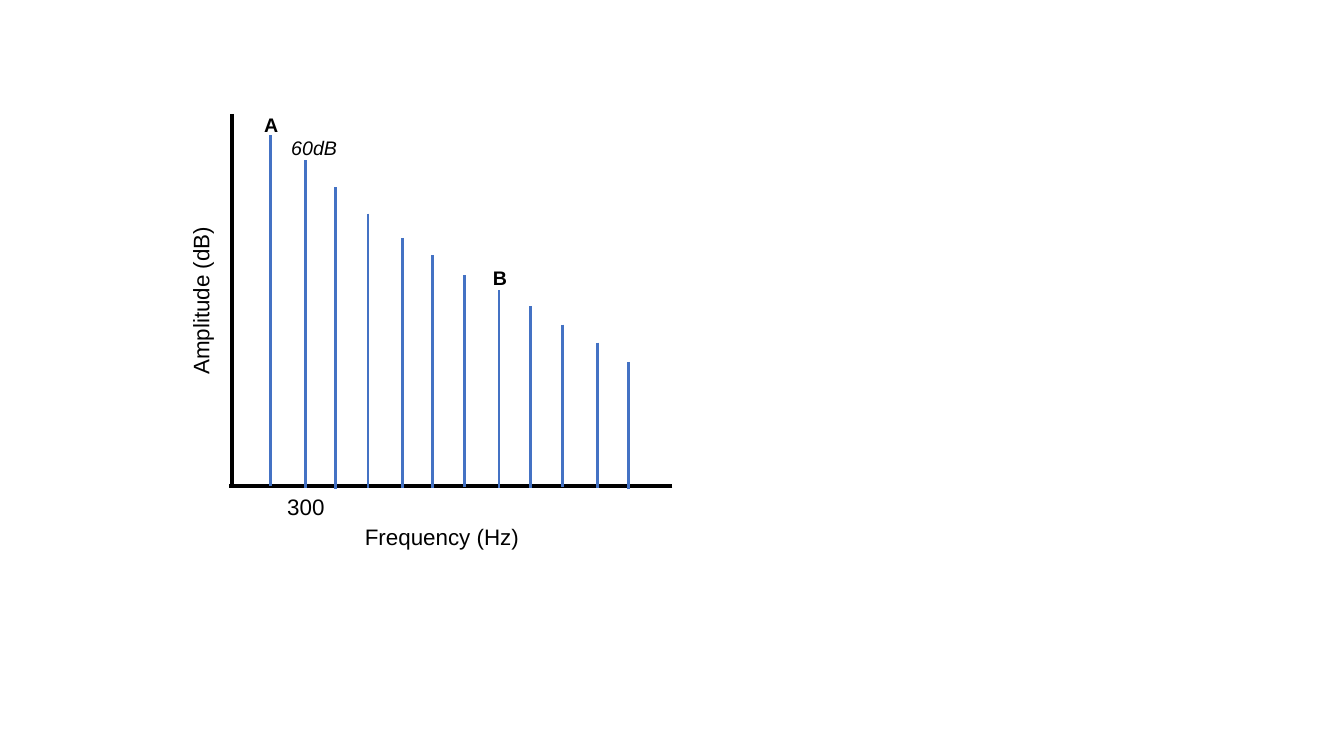
from pptx import Presentation
from pptx.dml.color import RGBColor
from pptx.enum.shapes import MSO_CONNECTOR
from pptx.enum.text import MSO_AUTO_SIZE, PP_ALIGN
from pptx.oxml.ns import qn
from pptx.util import Inches, Pt
from lxml import etree

COLORS = {"axis": "000000", "harmonic": "4472C4", "text": "000000"}
FONT = "Arial"
BASELINE = 4.82

AXES = [
    (2.3, 1.13, 2.3, BASELINE),
    (6.67, BASELINE, 2.27, BASELINE),
]

HARMONICS = [
    (2.68, 1.34, 4.82),
    (3.03, 1.59, 4.84),
    (3.33, 1.86, 4.85),
    (3.65, 2.12, 4.84),
    (3.99, 2.36, 4.84),
    (4.29, 2.53, 4.84),
    (4.61, 2.73, 4.83),
    (4.95, 2.88, 4.84),
    (5.26, 3.04, 4.84),
    (5.58, 3.22, 4.83),
    (5.93, 3.4, 4.84),
    (6.23, 3.59, 4.85),
]

LABELS = [
    {"text": "300", "box": (2.75, 4.84, 0.66, 0.37), "size": 16},
    {"text": "60dB", "box": (2.79, 1.3, 0.86, 0.34), "size": 14, "italic": True},
    {"text": "B", "box": (4.79, 2.59, 0.29, 0.34), "size": 14, "bold": True},
    {"text": "A", "box": (2.52, 1.07, 0.29, 0.34), "size": 14, "bold": True},
    {"text": "Frequency (Hz)", "box": (3.52, 5.14, 2.02, 0.37), "size": 16},
    {"text": "Amplitude (dB)", "box": (1.11, 2.75, 1.76, 0.37), "size": 16, "rotation": 270},
]


def add_line(slide, ends, color, width):
    line = slide.shapes.add_connector(MSO_CONNECTOR.STRAIGHT, *map(Inches, ends))
    line.line.color.rgb = RGBColor.from_string(COLORS[color])
    line.line.width = Pt(width)
    etree.SubElement(line._element.spPr, qn("a:effectLst"))


def add_label(slide, text, box, size, bold=False, italic=False, rotation=0):
    label = slide.shapes.add_textbox(*map(Inches, box))
    label.rotation = rotation
    frame = label.text_frame
    frame.word_wrap = True
    frame.auto_size = MSO_AUTO_SIZE.SHAPE_TO_FIT_TEXT
    paragraph = frame.paragraphs[0]
    paragraph.alignment = PP_ALIGN.LEFT
    run = paragraph.add_run()
    run.text = text
    run.font.name = FONT
    run.font.size = Pt(size)
    run.font.bold = bold
    run.font.italic = italic
    run.font.color.rgb = RGBColor.from_string(COLORS["text"])


def main():
    presentation = Presentation()
    presentation.slide_width = Inches(13.33)
    presentation.slide_height = Inches(7.5)
    slide = presentation.slides.add_slide(presentation.slide_layouts[6])

    for ends in AXES:
        add_line(slide, ends, "axis", 3)
    for x, top, bottom in HARMONICS:
        add_line(slide, (x, top, x, bottom), "harmonic", 2)
    for label in LABELS:
        add_label(slide, **label)

    presentation.save("out.pptx")


if __name__ == "__main__":
    main()
